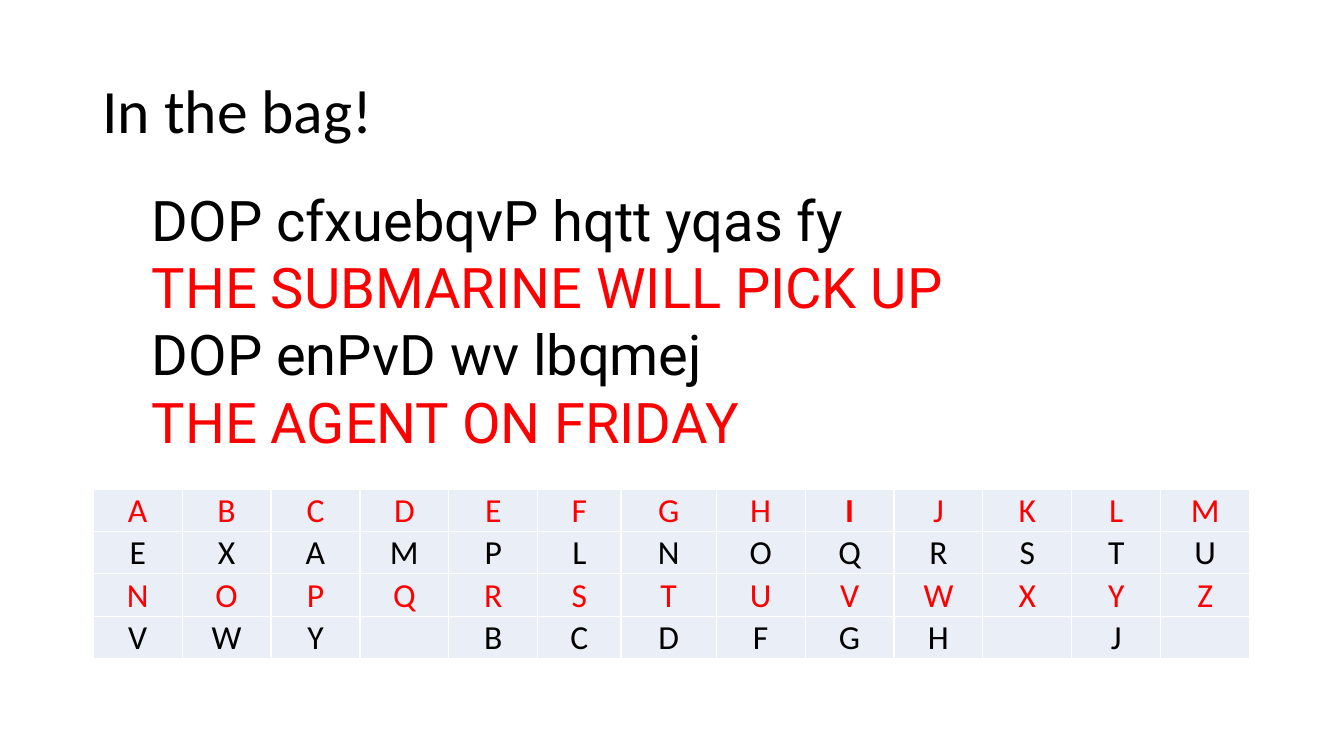
from dataclasses import dataclass

from lxml.etree import SubElement
from pptx import Presentation
from pptx.dml.color import RGBColor
from pptx.enum.text import MSO_ANCHOR, PP_ALIGN
from pptx.oxml.ns import qn
from pptx.util import Cm, Pt


@dataclass(frozen=True)
class Theme:
    black: str = "000000"
    red: str = "FF0000"
    pale: str = "EAEFF7"
    white: str = "FFFFFF"
    sans: str = "Calibri"
    code: str = "Roboto"
    title: int = 44
    body: int = 40
    cell: int = 24
    border: int = 1


THEME = Theme()

LINES = [
    "DOP cfxuebqvP hqtt yqas fy",
    "THE SUBMARINE WILL PICK UP",
    "DOP enPvD wv lbqmej",
    "THE AGENT ON FRIDAY",
]
KEY = [
    "ABCDEFGHIJKLM",
    "EXAMPLNOQRSTU",
    "NOPQRSTUVWXYZ",
    "VWY BCDFGH J ",
]
WIDE = {"F": 2.1, "G": 2.4}


def style(para, face, size, color, bold=False):
    for run in para.runs:
        run.font.name = face
        run.font.size = Pt(size)
        run.font.bold = bold
        run.font.color.rgb = RGBColor.from_string(color)


def add_text(slide, box, lines, face, size, colors, anchor, spacing=1.0):
    frame = slide.shapes.add_textbox(*map(Cm, box)).text_frame
    frame.word_wrap = True
    frame.vertical_anchor = anchor
    frame.text = "\n".join(lines)
    for row, para in enumerate(frame.paragraphs):
        para.line_spacing = spacing
        style(para, face, size, colors[row % len(colors)])


def add_edges(cell):
    props = cell._tc.get_or_add_tcPr()
    for side in ("a:lnL", "a:lnR", "a:lnT", "a:lnB"):
        line = SubElement(props, qn(side), w=str(Pt(THEME.border)))
        fill = SubElement(line, qn("a:solidFill"))
        SubElement(fill, qn("a:srgbClr"), val=THEME.white)


def fill_cell(cell, text, color, bold):
    add_edges(cell)
    cell.fill.solid()
    cell.fill.fore_color.rgb = RGBColor.from_string(THEME.pale)
    cell.margin_left = cell.margin_right = cell.margin_top = Cm(0.03)
    cell.margin_bottom = Cm(0)
    cell.vertical_anchor = MSO_ANCHOR.BOTTOM
    if text:
        cell.text_frame.text = text
        para = cell.text_frame.paragraphs[0]
        para.alignment = PP_ALIGN.CENTER
        style(para, THEME.sans, THEME.cell, color, bold)


def add_key(slide, box, rows, colors):
    table = slide.shapes.add_table(len(rows), len(rows[0]), *map(Cm, box)).table
    table.first_row = False
    table.horz_banding = False
    for column, letter in zip(table.columns, rows[0]):
        column.width = Cm(WIDE.get(letter, 2.24))
    for r, letters in enumerate(rows):
        for c, letter in enumerate(letters):
            bold = r == 0 and letter == "I"
            fill_cell(table.cell(r, c), letter.strip(), colors[r % 2], bold)


def main():
    deck = Presentation()
    deck.slide_width = Cm(33.87)
    deck.slide_height = Cm(19.05)
    slide = deck.slides.add_slide(deck.slide_layouts[6])
    add_text(slide, (2.33, 1.01, 29.21, 3.68), ["In the bag!"], THEME.sans,
             THEME.title, [THEME.black], MSO_ANCHOR.MIDDLE, 0.9)
    add_key(slide, (2.35, 12.32, 29.14, 4.28), KEY, [THEME.red, THEME.black])
    add_text(slide, (3.58, 4.55, 24.69, 7.09), LINES, THEME.code,
             THEME.body, [THEME.black, THEME.red], MSO_ANCHOR.TOP)
    deck.save("out.pptx")


if __name__ == "__main__":
    main()
